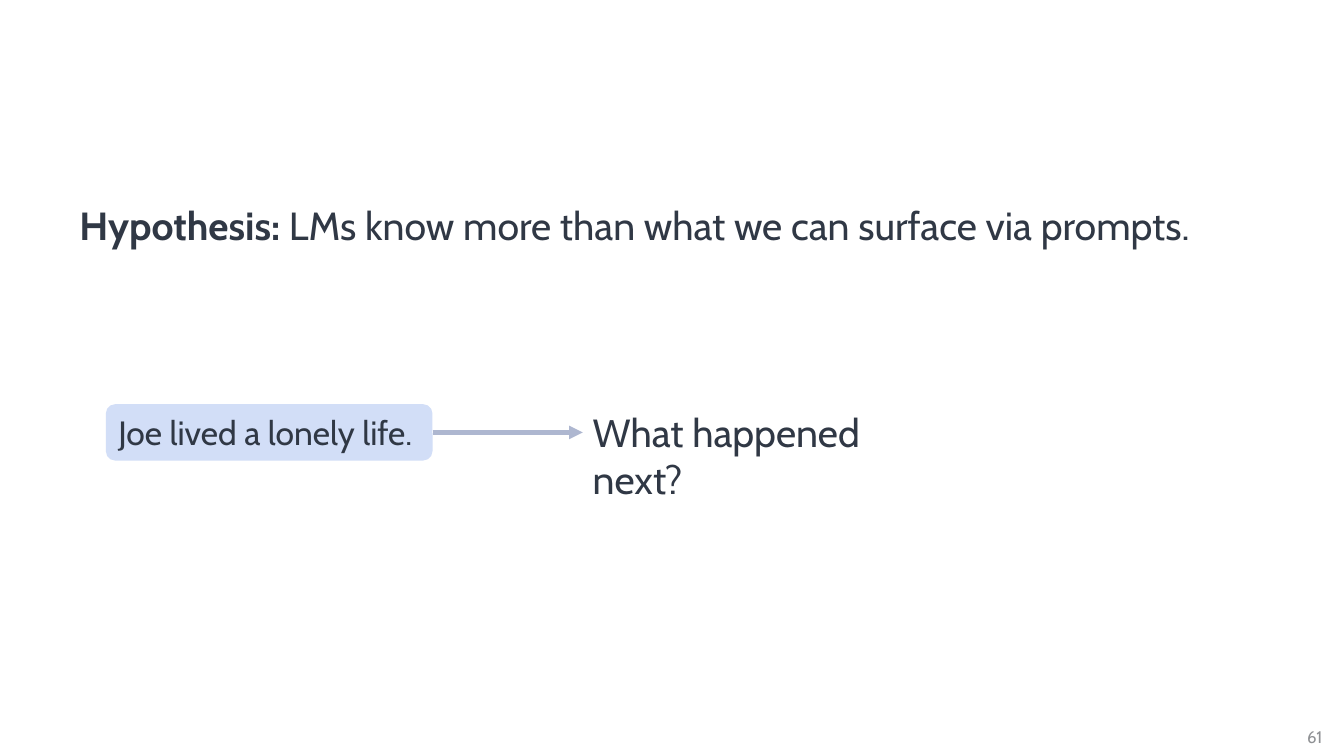
from dataclasses import dataclass
from lxml.etree import SubElement
from pptx import Presentation
from pptx.dml.color import RGBColor
from pptx.enum.shapes import MSO_CONNECTOR, MSO_SHAPE
from pptx.enum.text import MSO_ANCHOR, PP_ALIGN
from pptx.oxml.ns import qn
from pptx.util import Inches, Pt


@dataclass(frozen=True)
class Theme:
    """Colours, font and type sizes of the slide."""
    font: str = "Cabin"
    ink: str = "303845"
    grey: str = "8F9194"
    pale: str = "D2DEF7"
    arrow: str = "AEB7D0"
    large: int = 28
    mid: int = 24
    small: int = 12


class Page:
    """Draws styled elements on one slide."""

    def __init__(self, slide, theme):
        self.slide = slide
        self.theme = theme

    def style(self, shape, words, size, color, align):
        """Fill a shape with one paragraph of text."""
        frame = shape.text_frame
        frame.word_wrap = True
        frame.text = words
        para = frame.paragraphs[0]
        para.alignment = align
        font = para.runs[0].font
        font.name = self.theme.font
        font.size = Pt(size)
        font.color.rgb = RGBColor.from_string(color)
        return para

    def text(self, box, words, size, color, align=PP_ALIGN.LEFT, anchor=MSO_ANCHOR.TOP):
        """Add a text box."""
        shape = self.slide.shapes.add_textbox(*map(Inches, box))
        shape.text_frame.vertical_anchor = anchor
        self.style(shape, words, size, color, align)
        return shape

    def claim(self, box, lead, rest):
        """Add a sentence with a bold lead."""
        theme = self.theme
        shape = self.text(box, lead, theme.large, theme.ink)
        para = shape.text_frame.paragraphs[0]
        para.line_spacing = 0.9
        first = para.runs[0].font
        first.bold = True
        run = para.add_run()
        run.text = rest
        run.font.name = theme.font
        run.font.size = first.size
        run.font.color.rgb = first.color.rgb

    def card(self, box, words):
        """Add a rounded card with centred text."""
        theme = self.theme
        shape = self.slide.shapes.add_shape(MSO_SHAPE.ROUNDED_RECTANGLE, *map(Inches, box))
        shape.shadow.inherit = False
        shape.fill.solid()
        shape.fill.fore_color.rgb = RGBColor.from_string(theme.pale)
        shape.line.fill.background()
        frame = shape.text_frame
        frame.margin_left = frame.margin_right = 0
        self.style(shape, words, theme.mid, theme.ink, PP_ALIGN.CENTER)
        return shape

    def link(self, start, end):
        """Join the right side of one shape to the left side of another."""
        line = self.slide.shapes.add_connector(MSO_CONNECTOR.CURVE, 0, 0, 0, 0)
        line.begin_connect(start, 3)
        line.end_connect(end, 1)
        line.line.width = Pt(3.25)
        line.line.color.rgb = RGBColor.from_string(self.theme.arrow)
        SubElement(line.line._get_or_add_ln(), qn("a:tailEnd"), type="triangle")
        SubElement(line._element.spPr, qn("a:effectLst"))


def main():
    """Build and save the slide."""
    deck = Presentation()
    deck.slide_width = Inches(13.33)
    deck.slide_height = Inches(7.5)
    theme = Theme()
    page = Page(deck.slides.add_slide(deck.slide_layouts[6]), theme)
    page.claim((0.69, 2, 11.73, 4.76), "Hypothesis:",
               " LMs know more than what we can surface via prompts.")
    page.text((12.75, 7.11, 0.58, 0.4), "61", theme.small, theme.grey,
              PP_ALIGN.CENTER, MSO_ANCHOR.MIDDLE)
    story = page.card((1.05, 4.01, 3.24, 0.56), "Joe lived a lonely life. ")
    query = page.text((5.78, 4, 3.75, 0.58), "What happened next?", theme.large, theme.ink)
    page.link(story, query)
    deck.save("out.pptx")


if __name__ == "__main__":
    main()
